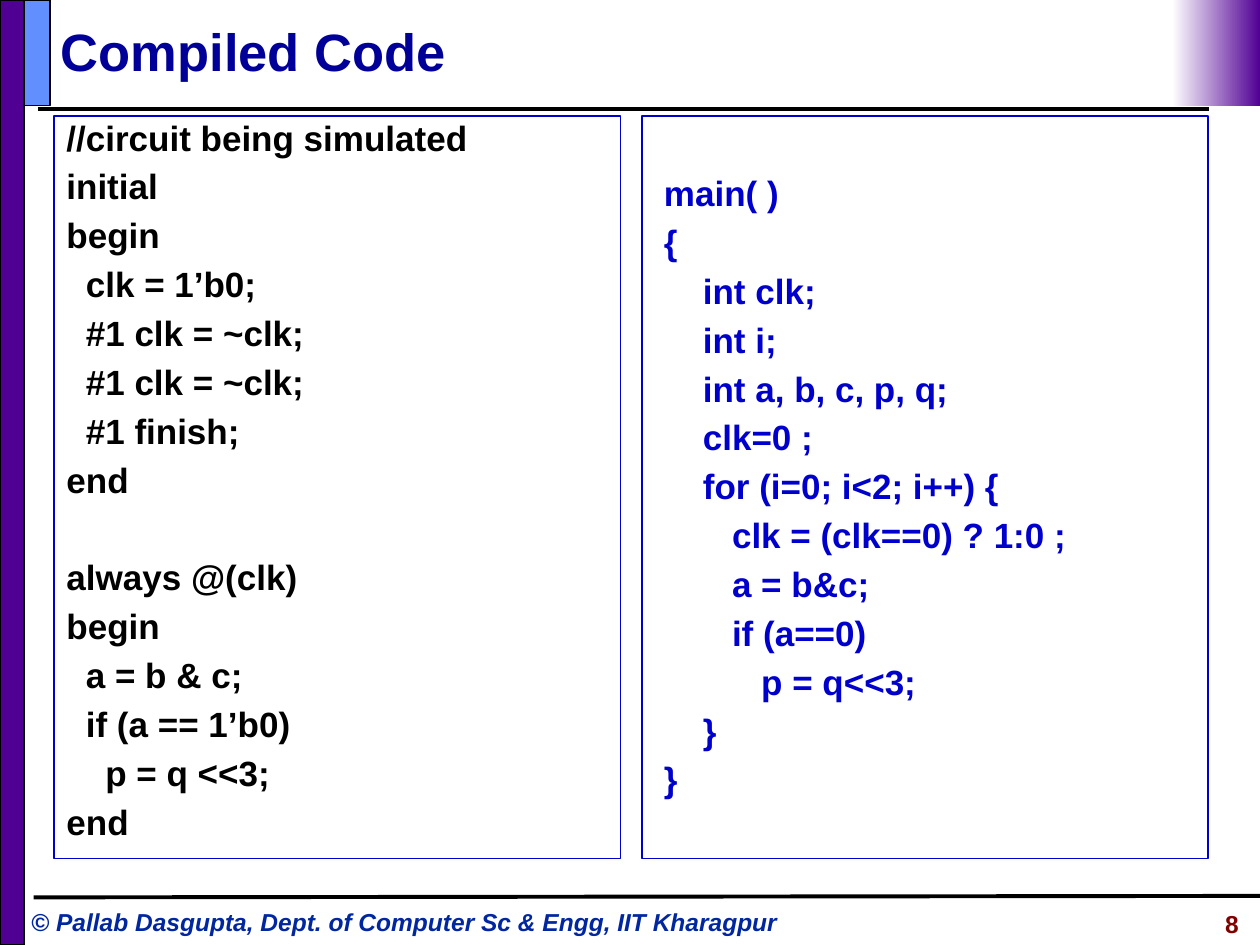
from lxml import etree
from pptx import Presentation
from pptx.dml.color import RGBColor
from pptx.enum.shapes import MSO_CONNECTOR, MSO_SHAPE
from pptx.enum.text import MSO_ANCHOR, PP_ALIGN
from pptx.oxml.ns import qn
from pptx.util import Cm, Pt

RECTANGLE = MSO_SHAPE.RECTANGLE
STRAIGHT = MSO_CONNECTOR.STRAIGHT
LEFT, RIGHT = PP_ALIGN.LEFT, PP_ALIGN.RIGHT
TOP, MIDDLE = MSO_ANCHOR.TOP, MSO_ANCHOR.MIDDLE

WIDTH, HEIGHT = 25.4, 19.05
FONT = "Arial"
SPACE_WIDTH = 0.196  # one space of the bold 20 pt code font, in cm
LINE_GAP, LINE_PITCH = 7.5, 27.9  # points

# Each code line: (indent in spaces, text, blank lines above)
CIRCUIT = [
    (0, "//circuit being simulated", 0),
    (0, "initial", 0),
    (0, "begin", 0),
    (2, "clk = 1’b0;", 0),
    (2, "#1 clk = ~clk;", 0),
    (2, "#1 clk = ~clk;", 0),
    (2, "#1 finish;", 0),
    (0, "end", 0),
    (0, "always @(clk)", 1),
    (0, "begin", 0),
    (2, "a = b & c;", 0),
    (2, "if (a == 1’b0)", 0),
    (4, "p = q <<3;", 0),
    (0, "end", 0),
]
PROGRAM = [
    (1, "main( )", 0),
    (1, "{", 0),
    (5, "int clk;", 0),
    (5, "int i;", 0),
    (5, "int a, b, c, p, q;", 0),
    (5, "clk=0 ;", 0),
    (5, "for (i=0; i<2; i++) {", 0),
    (8, "clk = (clk==0) ? 1:0 ;", 0),
    (8, "a = b&c;", 0),
    (8, "if (a==0)", 0),
    (11, "p = q<<3;", 0),
    (5, "}", 0),
    (1, "}", 0),
]


def color(value):
    return RGBColor.from_string(value)


def add_rectangle(slide, box, fill=None, line=None):
    shape = slide.shapes.add_shape(RECTANGLE, *map(Cm, box))
    shape.shadow.inherit = False
    if fill:
        shape.fill.solid()
        shape.fill.fore_color.rgb = color(fill)
    else:
        shape.fill.background()
    if line:
        shape.line.color.rgb = color(line)
        shape.line.width = Pt(1)
    else:
        shape.line.fill.background()
    return shape


def add_rule(slide, start, end):
    connector = slide.shapes.add_connector(STRAIGHT, *map(Cm, start + end))
    connector.line.color.rgb = color("000000")
    connector.line.width = Pt(2.25)
    etree.SubElement(connector._element.spPr, qn("a:effectLst"))


def prepare_frame(shape, anchor=TOP, top_inset=0.13):
    frame = shape.text_frame
    frame.word_wrap = True
    frame.vertical_anchor = anchor
    frame.margin_left = frame.margin_right = Cm(0.25)
    frame.margin_top, frame.margin_bottom = Cm(top_inset), Cm(0.13)
    return frame


def write(paragraph, text, size=20, fill="000000", italic=False, align=LEFT):
    paragraph.alignment = align
    run = paragraph.add_run()
    run.text = text
    font = run.font
    font.name, font.size = FONT, Pt(size)
    font.bold, font.italic = True, italic
    font.color.rgb = color(fill)


def add_label(slide, box, text, anchor=TOP, **text_format):
    shape = slide.shapes.add_textbox(*map(Cm, box))
    write(prepare_frame(shape, anchor).paragraphs[0], text, **text_format)


def add_code_panel(slide, box, lines, fill, top_inset=0.13):
    panel = add_rectangle(slide, box, line="0000CC")
    frame = prepare_frame(panel, top_inset=top_inset)
    for index, (indent, text, blanks) in enumerate(lines):
        paragraph = frame.add_paragraph() if index else frame.paragraphs[0]
        write(paragraph, text, fill=fill)
        paragraph.line_spacing = 0.85
        paragraph.space_before = Pt(LINE_GAP + blanks * LINE_PITCH)
        properties = paragraph._p.get_or_add_pPr()
        properties.set("marL", str(Cm(indent * SPACE_WIDTH)))
        properties.set("indent", "0")


def add_side_band(slide, left, top, width, height):
    add_rectangle(slide, (left, top, width, height), "500093", "000000")


def add_header(slide, left, top, width, height):
    # Blue tab, fading corner and title above the rule
    add_rule(slide, (left + 0.28, top + 2.2), (left + 23.9, top + 2.2))
    add_rectangle(slide, (left, top, 0.53, height), "618FFD", "000000")
    corner_width = 1.77
    corner = add_rectangle(
        slide, (left + width - corner_width, top, corner_width, height))
    corner.fill.gradient()
    corner.fill.gradient_angle = 180
    for stop, value in zip(corner.fill.gradient_stops, ("500093", "FFFFFF")):
        stop.color.rgb = color(value)
    add_label(slide, (left + 0.5, top + 0.25, 23.11, 1.55), "Compiled Code",
              anchor=MIDDLE, size=30, fill="000099")


def add_footer(slide, left, top, width):
    add_rule(slide, (left + 0.3, top + 0.03), (left + width, top))
    add_label(slide, (left, top + 0.1, 16.18, 0.86),
              "© Pallab Dasgupta, Dept. of Computer Sc & Engg, IIT Kharagpur",
              size=14, fill="00279F", italic=True)
    number_width = 4.45
    add_label(slide, (left + width - number_width - 0.18, top + 0.13,
                      number_width, 0.89),
              "8", size=14, fill="800000", align=RIGHT)


def add_code_panels(slide, left, top, width, height):
    gap = 0.43
    panel_width = (width - gap) / 2
    add_code_panel(slide, (left, top, panel_width, height), CIRCUIT, "000000")
    add_code_panel(slide, (left + panel_width + gap, top, panel_width, height),
                   PROGRAM, "0000CC", top_inset=1.25)


def main():
    presentation = Presentation()
    presentation.slide_width, presentation.slide_height = Cm(WIDTH), Cm(HEIGHT)
    slide = presentation.slides.add_slide(presentation.slide_layouts[6])
    add_side_band(slide, 0, 0, 0.48, HEIGHT)
    add_header(slide, 0.48, 0, WIDTH - 0.48, 2.13)
    add_code_panels(slide, 1.09, 2.34, 23.27, 14.97)
    add_footer(slide, 0.38, 18.06, WIDTH - 0.38)
    presentation.save("out.pptx")


if __name__ == "__main__":
    main()
